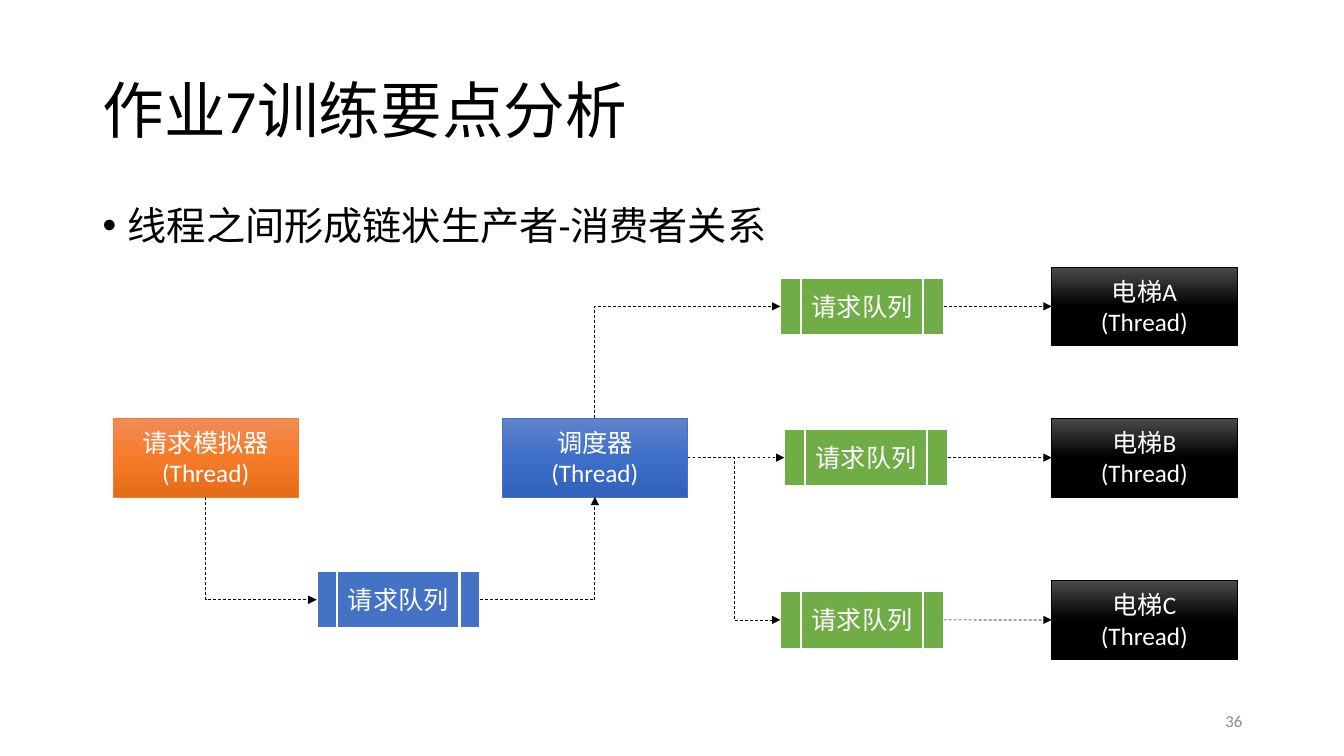
"""Build the slide on the chain of producer and consumer threads."""
from copy import deepcopy

from lxml import etree
from pptx import Presentation
from pptx.dml.color import RGBColor
from pptx.enum.dml import MSO_LINE
from pptx.enum.shapes import MSO_CONNECTOR, MSO_SHAPE
from pptx.enum.text import MSO_ANCHOR, PP_ALIGN
from pptx.oxml.ns import qn
from pptx.util import Inches, Pt

RECTANGLE, PROCESS = MSO_SHAPE.RECTANGLE, MSO_SHAPE.FLOWCHART_PREDEFINED_PROCESS
STRAIGHT, ELBOW = MSO_CONNECTOR.STRAIGHT, MSO_CONNECTOR.ELBOW
LEFT, CENTER, RIGHT = PP_ALIGN.LEFT, PP_ALIGN.CENTER, PP_ALIGN.RIGHT
TOP, MIDDLE = MSO_ANCHOR.TOP, MSO_ANCHOR.MIDDLE
DASH = MSO_LINE.DASH
TOP_SITE, LEFT_SITE, BOTTOM_SITE, RIGHT_SITE = range(4)

FONT = "Calibri"
COLORS = {"text": "000000", "white": "FFFFFF", "number": "8C8C8C",
          "blue": "4472C4", "orange": "ED7D31", "green": "70AD47", "black": "000000"}
GRADIENTS = {"blue": ("6183CB", "3E70CA", "3062BB"),
             "orange": ("F18C57", "F67B28", "E56C19"),
             "black": ("4B4B4B", "000000", "000000")}
THREAD_SIZE = (1.84, 0.78)
QUEUE_SIZE = (1.62, 0.57)
MIDDLE_ROW = 4.54
ELEVATOR_ROWS = (("A", 7.74, 3.04), ("B", 7.78, MIDDLE_ROW), ("C", 7.74, 6.15))


def color(name):
    """Return the named colour."""
    return RGBColor.from_string(COLORS[name])


def write(shape, lines, size, ink, align, anchor=MIDDLE, spacing=1.0):
    """Write one paragraph per line into a shape."""
    frame = shape.text_frame
    frame.word_wrap = True
    frame.vertical_anchor = anchor
    frame.text = "\n".join(lines)
    for paragraph in frame.paragraphs:
        paragraph.alignment = align
        paragraph.line_spacing = spacing
        paragraph.font.name = FONT
        paragraph.font.size = Pt(size)
        paragraph.font.color.rgb = color(ink)


def add_text(slide, box, text, size, ink="text", align=LEFT, anchor=MIDDLE, spacing=1.0):
    """Add a text box and return its paragraph."""
    textbox = slide.shapes.add_textbox(*map(Inches, box))
    write(textbox, [text], size, ink, align, anchor, spacing)
    return textbox.text_frame.paragraphs[0]


def add_bullet(paragraph):
    """Give a paragraph a hanging bullet."""
    paragraph.space_before = Pt(10)
    properties = paragraph._p.get_or_add_pPr()
    properties.set("marL", str(Inches(0.25)))
    properties.set("indent", str(-Inches(0.25)))
    bullet_font = etree.Element(qn("a:buFont"), typeface="Arial")
    bullet = etree.Element(qn("a:buChar"), char="•")
    following = properties.find(qn("a:defRPr"))
    following.addprevious(bullet_font)
    following.addprevious(bullet)


def add_node(slide, kind, left, center_y, size, lines, outline, weight):
    """Add a captioned shape centred on a row."""
    width, height = size
    node = slide.shapes.add_shape(kind, Inches(left), Inches(center_y - height / 2),
                                  Inches(width), Inches(height))
    node.shadow.inherit = False
    node.line.color.rgb = color(outline)
    node.line.width = Pt(weight)
    write(node, lines, 18, "white", CENTER)
    return node


def add_thread(slide, left, center_y, name, hue):
    """Add a thread box with a three-stop vertical gradient."""
    thread = add_node(slide, RECTANGLE, left, center_y, THREAD_SIZE,
                      [name, "(Thread)"], hue, 0.5)
    thread.fill.gradient()
    thread.fill.gradient_angle = 270
    stops = thread.element.spPr.find(".//" + qn("a:gsLst"))
    stops.append(deepcopy(stops[0]))
    for stop, position, shade in zip(thread.fill.gradient_stops, (0, 0.5, 1), GRADIENTS[hue]):
        stop.position = position
        stop.color.rgb = RGBColor.from_string(shade)
    return thread


def add_queue(slide, left, center_y, hue):
    """Add a request queue."""
    queue = add_node(slide, PROCESS, left, center_y, QUEUE_SIZE, ["请求队列"], "white", 1.5)
    queue.fill.solid()
    queue.fill.fore_color.rgb = color(hue)
    return queue


def add_arrow(slide, source, source_site, target, target_site, kind=STRAIGHT):
    """Join two nodes with a dashed arrow."""
    arrow = slide.shapes.add_connector(kind, 0, 0, 0, 0)
    arrow.begin_connect(source, source_site)
    arrow.end_connect(target, target_site)
    arrow.line.color.rgb = color("black")
    arrow.line.width = Pt(0.5)
    arrow.line.dash_style = DASH
    etree.SubElement(arrow.line._get_or_add_ln(), qn("a:tailEnd"), type="triangle")
    etree.SubElement(arrow.element.spPr, qn("a:effectLst"))
    return arrow


def add_corner_arrow(slide, source, source_site, target, target_site):
    """Join two nodes with a dashed arrow that turns once."""
    arrow = add_arrow(slide, source, source_site, target, target_site, ELBOW)
    properties = arrow.element.spPr
    properties.find(qn("a:prstGeom")).set("prst", "bentConnector2")
    if source_site == RIGHT_SITE:
        return
    rising = arrow.end_y < arrow.begin_y
    shift = (arrow.width - arrow.height) // 2
    arrow.left, arrow.top = arrow.left + shift, arrow.top - shift
    arrow.width, arrow.height = arrow.height, arrow.width
    frame = properties.find(qn("a:xfrm"))
    frame.set("rot", str((90 if rising else 270) * 60000))
    frame.set("flipH", "1")
    frame.set("flipV", "1" if rising else "0")


def main():
    """Build and save the slide."""
    deck = Presentation()
    deck.slide_width, deck.slide_height = Inches(13.33), Inches(7.5)
    slide = deck.slides.add_slide(deck.slide_layouts[6])

    add_text(slide, (0.92, 0.4, 11.5, 1.45), "作业7训练要点分析", 44, spacing=0.9)
    add_bullet(add_text(slide, (0.92, 2, 11.5, 1.03), "线程之间形成链状生产者-消费者关系",
                        28, anchor=TOP, spacing=0.9))

    simulator = add_thread(slide, 1.12, MIDDLE_ROW, "请求模拟器", "orange")
    scheduler = add_thread(slide, 4.98, MIDDLE_ROW, "调度器", "blue")
    inbox = add_queue(slide, 3.14, 5.95, "blue")
    add_corner_arrow(slide, simulator, BOTTOM_SITE, inbox, LEFT_SITE)
    add_corner_arrow(slide, inbox, RIGHT_SITE, scheduler, BOTTOM_SITE)

    queues = []
    for letter, queue_left, center_y in ELEVATOR_ROWS:
        queue = add_queue(slide, queue_left, center_y, "green")
        elevator = add_thread(slide, 10.43, center_y, f"电梯{letter}", "black")
        add_arrow(slide, queue, RIGHT_SITE, elevator, LEFT_SITE)
        queues.append(queue)
    upper, level, lower = queues
    add_corner_arrow(slide, scheduler, TOP_SITE, upper, LEFT_SITE)
    add_arrow(slide, scheduler, RIGHT_SITE, level, LEFT_SITE)
    add_arrow(slide, scheduler, RIGHT_SITE, lower, LEFT_SITE, ELBOW)

    add_text(slide, (9.42, 6.95, 3, 0.4), "36", 12, "number", RIGHT)
    deck.save("out.pptx")


if __name__ == "__main__":
    main()
